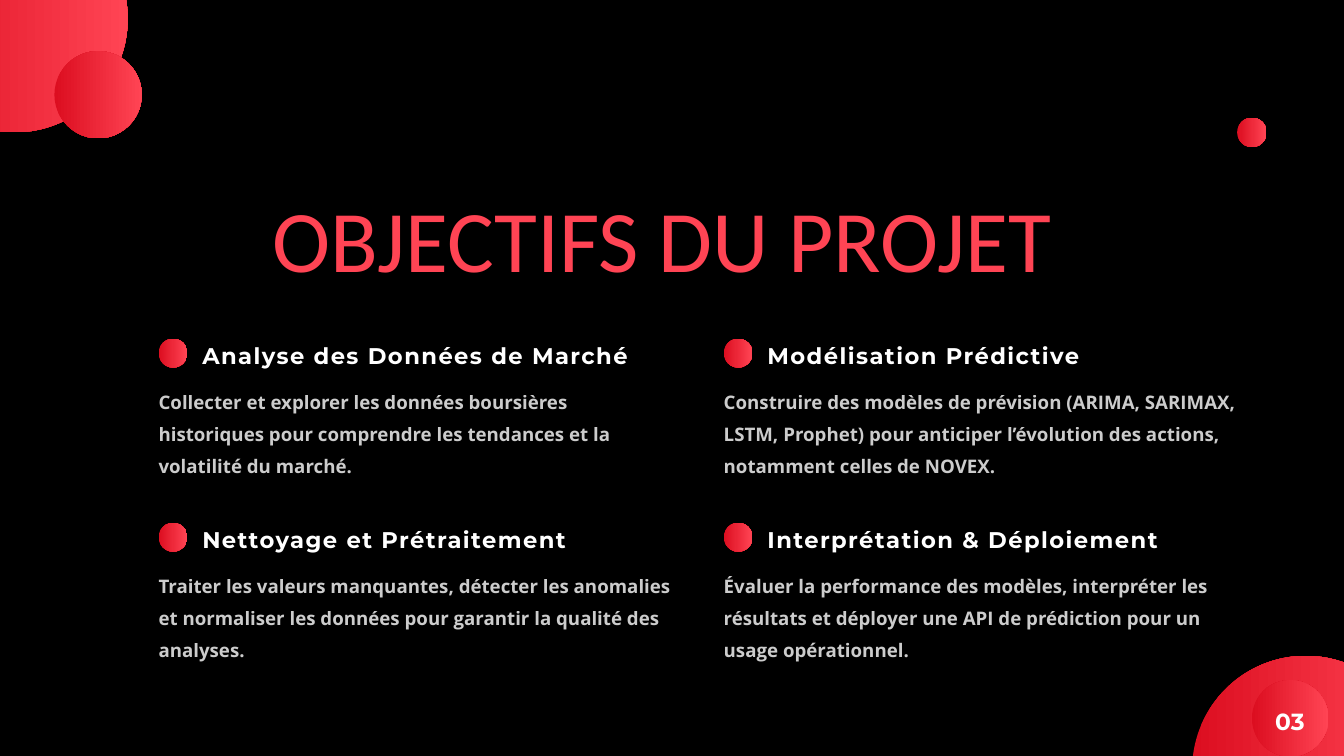
"""Build the project objectives slide: a title above a two by two grid of goals."""
from lxml.etree import SubElement
from pptx import Presentation
from pptx.dml.color import RGBColor
from pptx.enum.shapes import MSO_SHAPE as Shape
from pptx.enum.text import MSO_AUTO_SIZE as AutoSize, PP_ALIGN as Align
from pptx.oxml.ns import qn
from pptx.util import Inches, Pt

BLACK = RGBColor(0x00, 0x00, 0x00)
WHITE = RGBColor(0xFF, 0xFF, 0xFF)
CRIMSON = RGBColor(0xDC, 0x0E, 0x20)
CORAL = RGBColor(0xFF, 0x44, 0x54)

TITLE = "OBJECTIFS DU PROJET "
PAGE_NUMBER = "03"
GOALS = [
    ("Analyse des Données de Marché",
     "Collecter et explorer les données boursières historiques pour comprendre "
     "les tendances et la volatilité du marché."),
    ("Modélisation Prédictive",
     "Construire des modèles de prévision (ARIMA, SARIMAX, LSTM, Prophet) pour "
     "anticiper l’évolution des actions, notamment celles de NOVEX."),
    ("Nettoyage et Prétraitement",
     "Traiter les valeurs manquantes, détecter les anomalies et normaliser les "
     "données pour garantir la qualité des analyses."),
    ("Interprétation & Déploiement",
     "Évaluer la performance des modèles, interpréter les résultats et déployer "
     "une API de prédiction pour un usage opérationnel."),
]

WIDTH, HEIGHT = 20, 11.25
GRID_LEFT, GRID_TOP = 2.36, 5.04
COLUMN_STEP, ROW_STEP, COLUMNS = 8.41, 2.74, 2
BODY_WIDTH, HEADING_INDENT, BODY_DROP = 7.64, 0.65, 0.64
BULLET_SIZE = 0.43
BACK_CIRCLES = [(17.74, 9.76, 3.38), (18.41, 1.75, 0.44)]
FRONT_CIRCLES = [(-1.48, -1.41, 3.38), (0.81, 0.76, 1.3), (18.63, 10.12, 1.14)]

STYLES = {
    "title": {"font": {"name": "Calibri", "size": Pt(94)}, "color": CORAL,
              "para": {"alignment": Align.CENTER, "line_spacing": Pt(112.8)}},
    "heading": {"font": {"name": "Montserrat", "size": Pt(24.3), "bold": True},
                "color": WHITE, "tracking": 160,
                "para": {"line_spacing": Pt(34.1)}},
    "body": {"font": {"name": "Open Sans", "size": Pt(20), "bold": True},
             "color": WHITE, "opacity": 80, "para": {"line_spacing": Pt(34)}},
    "number": {"font": {"name": "Montserrat", "size": Pt(25), "bold": True},
               "color": WHITE,
               "para": {"alignment": Align.CENTER, "line_spacing": Pt(35)}},
}
FRAME = {"margin_left": 0, "margin_top": 0, "margin_right": 0,
         "margin_bottom": 0, "word_wrap": True,
         "auto_size": AutoSize.SHAPE_TO_FIT_TEXT}


def apply(target, values):
    for name, value in values.items():
        setattr(target, name, value)


def add_circle(page, left, top, size):
    circle = page.shapes.add_shape(
        Shape.OVAL, *map(Inches, (left, top, size, size)))
    circle.shadow.inherit = False
    circle.line.fill.background()
    circle.fill.gradient()
    circle.fill.gradient_angle = 0
    for stop, color, position in zip(
            circle.fill.gradient_stops, (CRIMSON, CORAL), (0, 1)):
        stop.color.rgb = color
        stop.position = position


def add_text(page, text, style_name, left, top, width, height):
    style = STYLES[style_name]
    box = page.shapes.add_textbox(*map(Inches, (left, top, width, height)))
    apply(box.text_frame, FRAME)
    para = box.text_frame.paragraphs[0]
    apply(para, style["para"])
    span = para.add_run()
    span.text = text
    apply(span.font, style["font"])
    span.font.color.rgb = style["color"]
    properties = span.font._element
    if "tracking" in style:
        properties.set("spc", str(style["tracking"]))
    if "opacity" in style:
        color = properties.find(".//" + qn("a:srgbClr"))
        SubElement(color, qn("a:alpha"), val=str(style["opacity"] * 1000))


def add_goal(page, index, heading, body):
    row, column = divmod(index, COLUMNS)
    left = GRID_LEFT + column * COLUMN_STEP
    top = GRID_TOP + row * ROW_STEP
    add_circle(page, left, top, BULLET_SIZE)
    add_text(page, heading, "heading", left + HEADING_INDENT, top - 0.02,
             BODY_WIDTH - HEADING_INDENT, 0.45)
    add_text(page, body, "body", left, top + BODY_DROP, BODY_WIDTH, 1.38)


def main():
    deck = Presentation()
    deck.slide_width, deck.slide_height = Inches(WIDTH), Inches(HEIGHT)
    page = deck.slides.add_slide(deck.slide_layouts[6])
    page.background.fill.solid()
    page.background.fill.fore_color.rgb = BLACK

    for circle in BACK_CIRCLES:
        add_circle(page, *circle)
    add_text(page, TITLE, "title", 2.21, 2.75, 15.57, 1.57)
    for index, (heading, body) in enumerate(GOALS):
        add_goal(page, index, heading, body)
    for circle in FRONT_CIRCLES:
        add_circle(page, *circle)
    add_text(page, PAGE_NUMBER, "number", 18.69, 10.45, 1.01, 0.45)

    deck.save("out.pptx")


if __name__ == "__main__":
    main()
